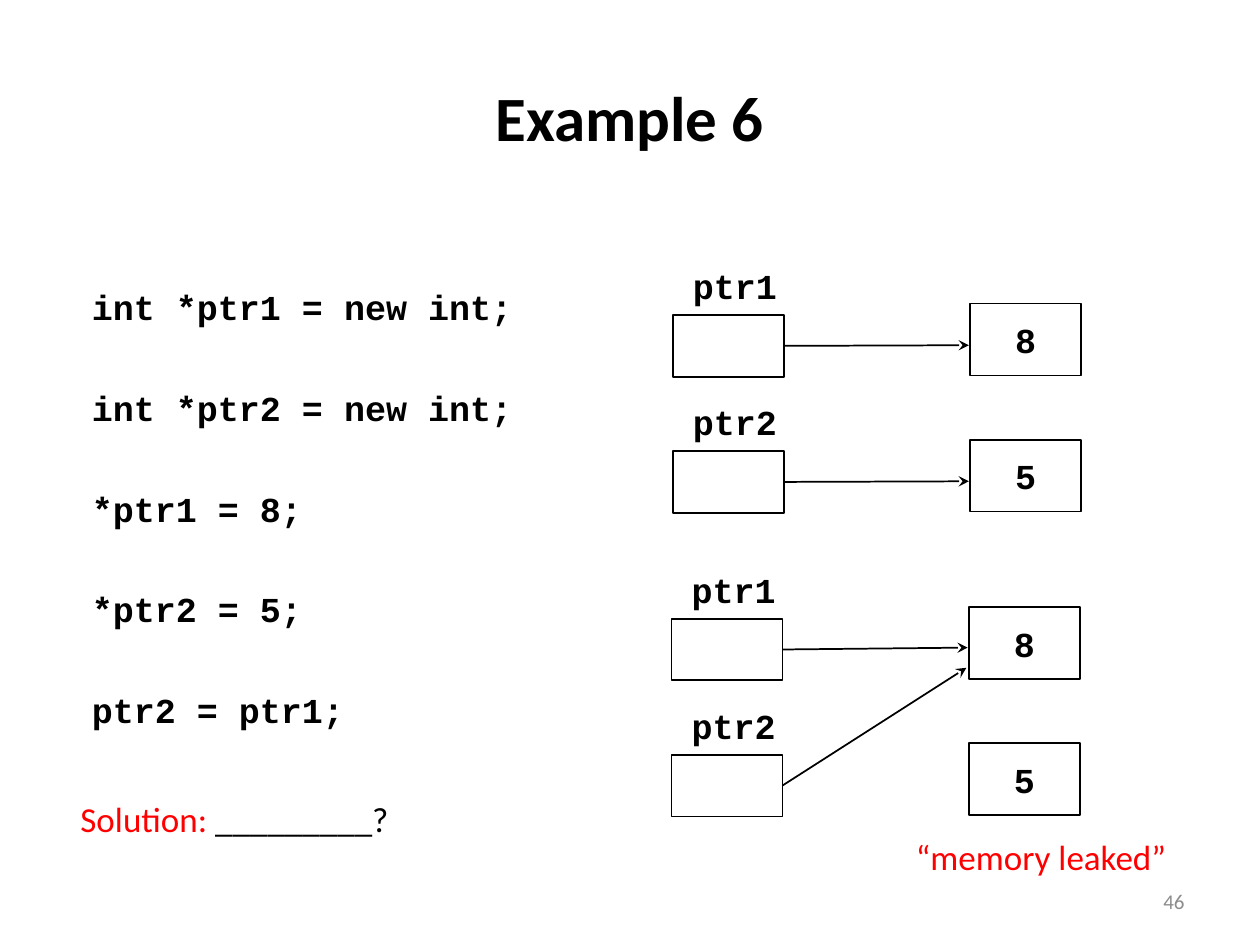
from lxml import etree
from pptx import Presentation
from pptx.dml.color import RGBColor
from pptx.enum.shapes import MSO_CONNECTOR as CONNECTOR, MSO_SHAPE as SHAPE
from pptx.enum.text import MSO_ANCHOR as ANCHOR, PP_ALIGN as ALIGN
from pptx.oxml.ns import qn
from pptx.util import Inches, Pt

BLACK = RGBColor(0x00, 0x00, 0x00)
RED = RGBColor(0xFF, 0x00, 0x00)
GRAY = RGBColor(0x8C, 0x8C, 0x8C)
CODE_FONT = "Courier New"
TEXT_FONT = "Calibri"


def write(box, text, font=TEXT_FONT, size=20, color=BLACK, bold=False,
          align=ALIGN.LEFT, anchor=ANCHOR.TOP, wrap=True):
    frame = box.text_frame
    frame.text = text
    frame.word_wrap = wrap
    frame.vertical_anchor = anchor
    for para in frame.paragraphs:
        para.alignment = align
        for span in para.runs:
            span.font.name = font
            span.font.size = Pt(size)
            span.font.bold = bold
            span.font.color.rgb = color


def add_cell(shapes, left, top, height):
    """Add an unfilled memory cell with a thin black outline."""
    cell = shapes.add_shape(SHAPE.RECTANGLE, Inches(left), Inches(top),
                            Inches(0.88), Inches(height))
    cell.shadow.inherit = False
    cell.fill.background()
    cell.line.color.rgb = BLACK
    cell.line.width = Pt(1)
    return cell


deck = Presentation()
deck.slide_width = Inches(10)
deck.slide_height = Inches(7.5)
slide = deck.slides.add_slide(deck.slide_layouts[6])
shapes = slide.shapes

title = shapes.add_textbox(Inches(0.5), Inches(0.3), Inches(9), Inches(1.25))
write(title, "Example 6", size=36, bold=True, align=ALIGN.CENTER,
      anchor=ANCHOR.MIDDLE)

code_lines = [
    "int *ptr1 = new int;",
    "int *ptr2 = new int;",
    "*ptr1 = 8;",
    "*ptr2 = 5;",
    "ptr2 = ptr1;",
]
code = shapes.add_textbox(Inches(0.63), Inches(2.22), Inches(3.98), Inches(3.67))
write(code, "\n".join(code_lines), font=CODE_FONT, bold=True)
for para in code.text_frame.paragraphs[1:]:
    para.space_before = Pt(33.5)

# Memory before and after the last assignment:
# left, top, then the end of each pointer's arrow
diagrams = [
    (5.34, 2.05, [(7.69, 2.74), (7.69, 3.82)]),
    (5.33, 4.46, [(7.68, 5.14), (7.67, 5.3)]),
]
ROW_PITCH = 1.08

for left, top, arrow_ends in diagrams:
    group = shapes.add_group_shape().shapes
    rows = zip(("ptr1", "ptr2"), ("8", "5"), arrow_ends)
    for row, (name, value, (end_x, end_y)) in enumerate(rows):
        row_top = top + row * ROW_PITCH
        label = group.add_textbox(Inches(left + 0.06), Inches(row_top),
                                  Inches(0.88), Inches(0.44))
        write(label, name, font=CODE_FONT, bold=True, wrap=False)

        pointer = add_cell(group, left, row_top + 0.45, 0.49)
        target = add_cell(group, left + 2.36, row_top + 0.36, 0.57)
        write(target, value, font=CODE_FONT, bold=True, align=ALIGN.CENTER,
              anchor=ANCHOR.MIDDLE, wrap=False)

        arrow = group.add_connector(
            CONNECTOR.STRAIGHT, Inches(left + 0.88), Inches(row_top + 0.69),
            Inches(end_x), Inches(end_y))
        arrow.begin_connect(pointer, 3)
        arrow.line.color.rgb = BLACK
        arrow.line.width = Pt(1)
        tail = etree.SubElement(arrow.line._get_or_add_ln(), qn("a:tailEnd"))
        tail.set("type", "stealth")
        etree.SubElement(arrow._element.spPr, qn("a:effectLst"))

leak = shapes.add_textbox(Inches(7.17), Inches(6.58), Inches(2.33), Inches(0.44))
write(leak, "“memory leaked”", color=RED)

number = shapes.add_textbox(Inches(7.17), Inches(6.95), Inches(2.33), Inches(0.4))
write(number, "46", size=12, color=GRAY, align=ALIGN.RIGHT, anchor=ANCHOR.MIDDLE)

solution = shapes.add_textbox(Inches(0.54), Inches(6.28), Inches(3.44), Inches(0.44))
write(solution, "Solution: ", color=RED)
blank = solution.text_frame.paragraphs[0].add_run()
blank.text = "_________?"
blank.font.name = TEXT_FONT
blank.font.size = Pt(20)
blank.font.color.rgb = BLACK

deck.save("out.pptx")
